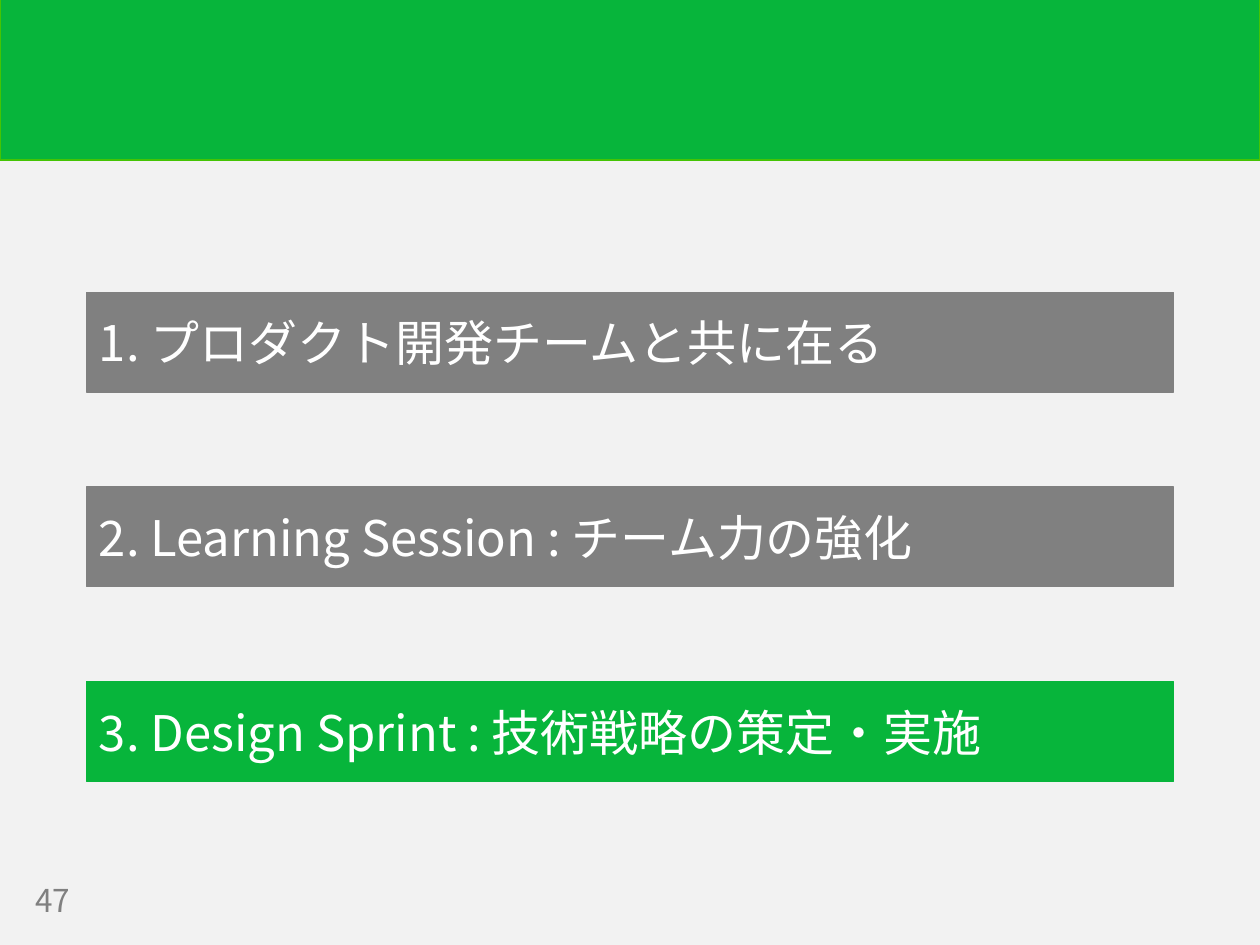
from lxml.etree import SubElement
from pptx import Presentation
from pptx.dml.color import RGBColor as Rgb
from pptx.enum.shapes import MSO_SHAPE as Shape
from pptx.enum.text import MSO_ANCHOR as Anchor, PP_ALIGN as Align
from pptx.oxml.ns import qn
from pptx.util import Pt

# Content: agenda entries with their bar colour
AGENDA = [
    ("1. プロダクト開発チームと共に在る", "grey"),
    ("2. Learning Session : チーム力の強化", "grey"),
    ("3. Design Sprint : 技術戦略の策定・実施", "green"),
]
PAGE_NUMBER = "47"

COLORS = {
    "background": "F2F2F2",
    "green": "07B53B",
    "header edge": "44C404",
    "grey": "808080",
    "white": "FFFFFF",
}
FONT = "Noto Sans CJK JP"
SLIDE_W, SLIDE_H = 720, 540
BAR_LEFT, BAR_TOP, BAR_W, BAR_H = 49.5, 167, 621, 57
BAR_PITCH = 111.25


def color(key):
    return Rgb.from_string(COLORS[key])


def add_bar(slide, box, fill, edge, edge_width):
    bar = slide.shapes.add_shape(Shape.RECTANGLE, *map(Pt, box))
    bar.shadow.inherit = False
    bar.fill.solid()
    bar.fill.fore_color.rgb = color(fill)
    bar.line.color.rgb = color(edge)
    bar.line.width = Pt(edge_width)
    return bar


def write(frame, text, size, text_color):
    for attribute, value in {"word_wrap": True, "vertical_anchor": Anchor.MIDDLE}.items():
        setattr(frame, attribute, value)
    paragraph = frame.paragraphs[0]
    paragraph.alignment = Align.LEFT
    run = paragraph.add_run()
    run.text = text
    for attribute, value in {"name": FONT, "size": Pt(size)}.items():
        setattr(run.font, attribute, value)
    run.font.color.rgb = color(text_color)
    # Japanese glyphs take the East Asian typeface
    SubElement(run.font._element, qn("a:ea"), typeface=FONT)


deck = Presentation()
deck.slide_width, deck.slide_height = Pt(SLIDE_W), Pt(SLIDE_H)
slide = deck.slides.add_slide(deck.slide_layouts[6])
slide.background.fill.solid()
slide.background.fill.fore_color.rgb = color("background")

# Header band
add_bar(slide, (0, -0.5, SLIDE_W, 92), "green", "header edge", 1)

# Page number
page_number = slide.shapes.add_textbox(Pt(13), Pt(500.5), Pt(57), Pt(28))
write(page_number.text_frame, PAGE_NUMBER, 18, "grey")

# Agenda bars, evenly spaced
for index, (entry, bar_color) in enumerate(AGENDA):
    box = (BAR_LEFT, BAR_TOP + index * BAR_PITCH, BAR_W, BAR_H)
    agenda_bar = add_bar(slide, box, bar_color, bar_color, 0.75)
    write(agenda_bar.text_frame, entry, 28, "white")

deck.save("out.pptx")
